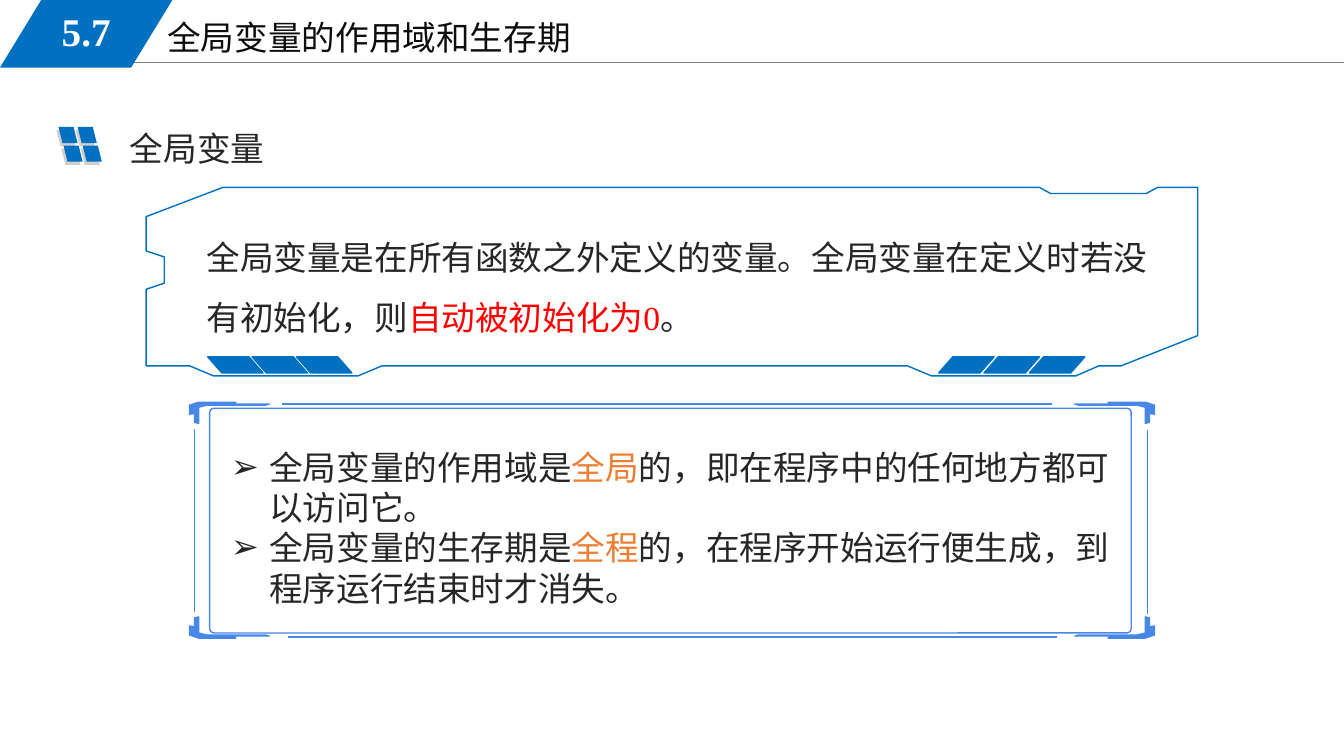
from dataclasses import dataclass

from lxml import etree
from pptx import Presentation
from pptx import util as u
from pptx.dml.color import RGBColor
from pptx.enum import shapes, text
from pptx.oxml import ns

COLUMNS, ROWS = 1333, 750
UNIT = u.Inches(13.33) / COLUMNS


@dataclass(frozen=True)
class Theme:
    blue: str = "0070C0"
    frame: str = "4788E6"
    shade: str = "D0CECE"
    rule: str = "808080"
    title: str = "0D0D0D"
    ink: str = "262626"
    red: str = "FF0000"
    orange: str = "ED7D31"
    white: str = "FFFFFF"
    latin: str = "Times New Roman"
    asian: str = "Noto Sans CJK SC"
    body_size: float = 24
    badge_size: float = 28
    leading: float = 28.8
    wide_leading: float = 43


THEME = Theme()


@dataclass(frozen=True)
class Box:
    left: float
    top: float
    width: float
    height: float

    def inner(self, left, top, width, height):
        return Box(self.left + left, self.top + top, width, height)

    def point(self, x, y):
        return round((self.left + x) * UNIT), round((self.top + y) * UNIT)

    def extent(self):
        return (*self.point(0, 0), round(self.width * UNIT), round(self.height * UNIT))


def paint(shape, fill=None, line=None):
    shape.shadow.inherit = False
    if fill:
        shape.fill.solid()
        shape.fill.fore_color.rgb = RGBColor.from_string(fill)
    else:
        shape.fill.background()
    if line:
        shape.line.color.rgb = RGBColor.from_string(line)
        shape.line.width = u.Pt(1)
    else:
        shape.line.fill.background()


def add_preset(page, kind, box, fill=None, line=None, adjust=None, flip=False):
    shape = page.shapes.add_shape(kind, *box.extent())
    paint(shape, fill, line)
    if adjust is not None:
        shape.adjustments[0] = adjust
    if flip:
        shape._element.spPr.xfrm.set("flipH", "1")
    return shape


def add_outline(page, box, points, fill=None, line=None):
    corners = [box.point(x, y) for x, y in points]
    builder = page.shapes.build_freeform(*corners[0], scale=1.0)
    builder.add_line_segments(corners[1:], close=True)
    paint(builder.convert_to_shape(), fill, line)


def add_line(page, box, start, end, color, width=1):
    line = page.shapes.add_connector(
        shapes.MSO_CONNECTOR.STRAIGHT, *box.point(*start), *box.point(*end))
    line.line.color.rgb = RGBColor.from_string(color)
    line.line.width = u.Pt(width)
    etree.SubElement(line._element.spPr, ns.qn("a:effectLst"))


def add_span(para, words, color, size=THEME.body_size, latin=THEME.latin, bold=False):
    span = para.add_run()
    span.text = words
    span.font.size = u.Pt(size)
    span.font.bold = bold
    span.font.color.rgb = RGBColor.from_string(color)
    span.font.name = latin
    asian = etree.Element(ns.qn("a:ea"), typeface=THEME.asian)
    span.font._element.find(ns.qn("a:latin")).addnext(asian)


def add_bullet(para):
    props = para._p.get_or_add_pPr()
    props.set("marL", str(u.Inches(0.38)))
    props.set("indent", str(-u.Inches(0.38)))
    color = etree.SubElement(props, ns.qn("a:buClr"))
    etree.SubElement(color, ns.qn("a:srgbClr"), val=THEME.ink)
    etree.SubElement(props, ns.qn("a:buChar"), char="➢")


def fill_text(shape, box, paragraphs, leading=THEME.leading, latin=THEME.latin, bullets=False):
    shape.left, shape.top, shape.width, shape.height = box.extent()
    frame = shape.text_frame
    frame.word_wrap = True
    frame.auto_size = text.MSO_AUTO_SIZE.NONE
    frame.vertical_anchor = text.MSO_ANCHOR.TOP
    for index, spans in enumerate(paragraphs):
        para = frame.add_paragraph() if index else frame.paragraphs[0]
        para.alignment = text.PP_ALIGN.LEFT
        para.line_spacing = u.Pt(leading)
        para.space_before = u.Pt(0)
        if bullets:
            add_bullet(para)
        for words, color in spans:
            add_span(para, words, color, latin=latin)


def add_header(page, box):
    add_line(page, box, (113, 62), (box.width, 62), THEME.rule, 0.75)
    fill_text(page.shapes.title, box.inner(156, 12, 567, 50),
              [[("全局变量的作用域和生存期", THEME.title)]])
    badge = add_preset(page, shapes.MSO_SHAPE.PARALLELOGRAM, box.inner(0, 0, 171, 67),
                       THEME.blue, adjust=0.61)
    frame = badge.text_frame
    frame.word_wrap = False
    frame.vertical_anchor = text.MSO_ANCHOR.MIDDLE
    frame.margin_top, frame.margin_bottom = 0, u.Inches(0.05)
    para = frame.paragraphs[0]
    para.alignment = text.PP_ALIGN.CENTER
    add_span(para, "5.7", THEME.white, THEME.badge_size, bold=True)


def add_section(page, box):
    for color, left, top in ((THEME.shade, 0, 10), (THEME.blue, 2, 7)):
        for row in range(2):
            for column in range(2):
                tile = box.inner(left + 19 * column + 5 * row, top + 18.5 * row, 19, 16)
                add_preset(page, shapes.MSO_SHAPE.PARALLELOGRAM, tile, color, flip=True)
    label = box.inner(63, 3, 235, 50)
    fill_text(page.shapes.add_textbox(*label.extent()), label, [[("全局变量", THEME.ink)]])


def add_definition(page, box):
    outline = [(76, 0), (886, 0), (897, 6), (992, 6), (1003, 0), (1043, 0), (1043, 147),
               (967, 177), (945, 177), (922, 187), (779, 187), (755, 177), (234, 177),
               (210, 187), (67, 187), (43, 177), (0, 177), (0, 101), (18, 95), (18, 69),
               (0, 63), (0, 29)]
    add_outline(page, box, outline, line=THEME.blue)
    for start, step, flip in ((61, 44, True), (786, 45, False)):
        for index in range(3):
            chip = box.inner(start + step * index, 168, 55, 16)
            add_preset(page, shapes.MSO_SHAPE.PARALLELOGRAM, chip,
                       THEME.blue, THEME.blue, 0.88, flip)
    words = box.inner(50, 24, 967, 131)
    fill_text(page.shapes.add_textbox(*words.extent()), words, [[
        ("全局变量是在所有函数之外定义的变量。全局变量在定义时若没有初始化，则", THEME.ink),
        ("自动被初始化为0", THEME.red),
        ("。", THEME.ink)]], THEME.wide_leading)


def add_properties(page, box):
    corner = [(9, 0), (46, 0), (42, 2), (79, 2), (75, 3), (17, 3), (9, 5), (9, 21),
              (5, 20), (5, 11), (0, 12), (0, 3)]
    for right in (False, True):
        for bottom in (False, True):
            points = [(box.width - x if right else x, box.height - y if bottom else y)
                      for x, y in corner]
            add_outline(page, box, points, THEME.frame, THEME.frame)
    add_preset(page, shapes.MSO_SHAPE.ROUNDED_RECTANGLE, box.inner(20, 6, 914, 223),
               line=THEME.frame, adjust=0.02)
    for start, end in (((92, 2), (855, 2)), ((98, 233), (860, 233)),
                       ((5, 27), (5, 208)), ((950, 28), (950, 210))):
        add_line(page, box, start, end, THEME.frame)
    fill_text(page.placeholders[1], box.inner(31, 39, 909, 180), [
        [("全局变量的作用域是", THEME.ink), ("全局", THEME.orange),
         ("的，即在程序中的任何地方都可以访问它。", THEME.ink)],
        [("全局变量的生存期是", THEME.ink), ("全程", THEME.orange),
         ("的，在程序开始运行便生成，到程序运行结束时才消失。", THEME.ink)],
    ], latin=THEME.asian, bullets=True)


def main():
    deck = Presentation()
    deck.slide_width, deck.slide_height = u.Inches(13.33), u.Inches(7.5)
    page = deck.slides.add_slide(deck.slide_layouts[1])
    add_header(page, Box(0, 0, COLUMNS, ROWS))
    add_section(page, Box(56, 119, 298, 50))
    add_definition(page, Box(145, 186, 1044, 187))
    add_properties(page, Box(188, 399, 957, 234))
    deck.save("out.pptx")


if __name__ == "__main__":
    main()
